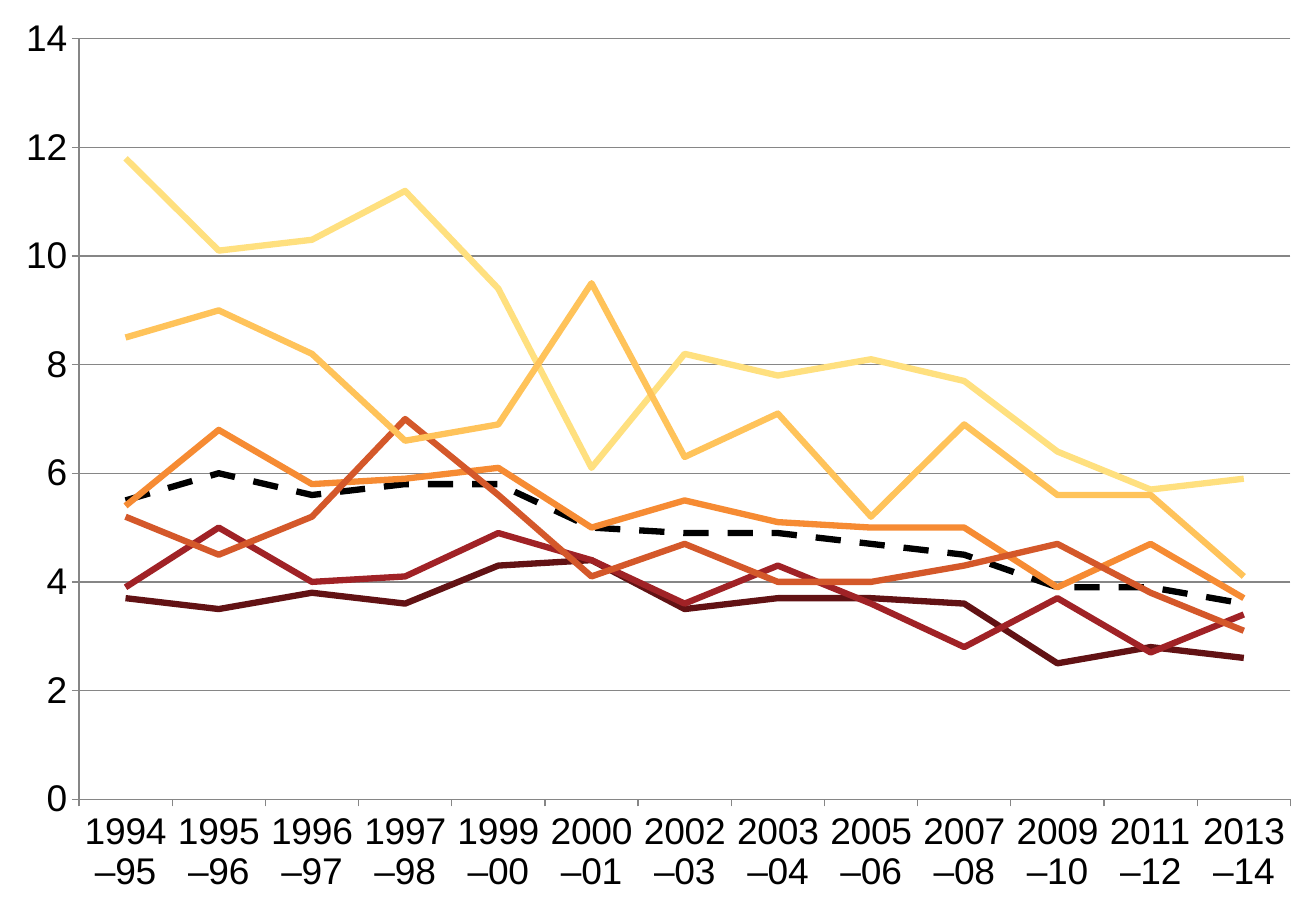
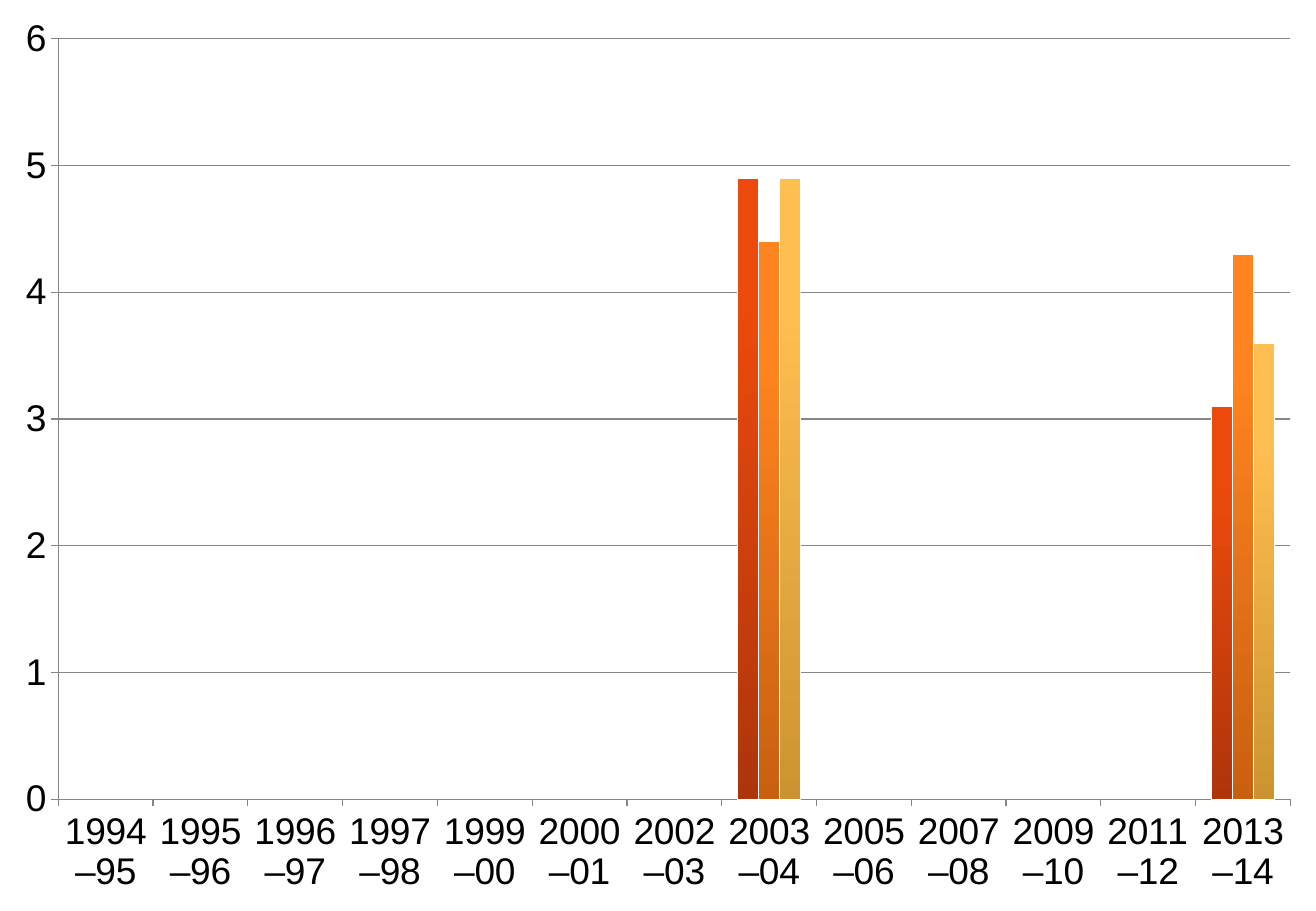
"""Build two chart slides that share years, axes and warm colours."""
from collections.abc import Sequence
from dataclasses import dataclass

from lxml.etree import SubElement
from pptx import Presentation
from pptx.chart.chart import Chart
from pptx.chart.data import CategoryChartData
from pptx.dml.color import RGBColor
from pptx.enum.chart import XL_CHART_TYPE, XL_TICK_MARK
from pptx.enum.dml import MSO_LINE
from pptx.oxml.ns import qn
from pptx.presentation import Presentation as Deck
from pptx.util import Inches, Pt


@dataclass(frozen=True)
class Theme:
    font: str = "Arial"
    text: str = "000000"
    paper: str = "FFFFFF"
    axis: str = "868686"
    amber: str = "FFC35A"
    orange: str = "F68B33"
    rust: str = "D4582A"
    crimson: str = "A02226"
    maroon: str = "621214"
    yellow: str = "FFE07F"
    base_size: float = 18
    label_size: float = 22
    hairline: float = 0.75
    trend_line: float = 3.75


@dataclass(frozen=True)
class Trend:
    values: Sequence[float]
    color: str
    dashed: bool = False


@dataclass(frozen=True)
class Bars:
    values: dict[str, float]
    foot: str
    top: str


@dataclass(frozen=True)
class Scale:
    maximum: float
    step: float
    plot_left: float


THEME = Theme()
WIDTH, HEIGHT = Inches(10.83), Inches(7.5)
PLOT_RIGHT, PLOT_TOP, PLOT_BOTTOM = 10.62, 0.32, 6.58

YEARS = [
    "1994–95", "1995–96", "1996–97", "1997–98", "1999–00", "2000–01", "2002–03",
    "2003–04", "2005–06", "2007–08", "2009–10", "2011–12", "2013–14",
]

TRENDS = [
    Trend([5.5, 6, 5.6, 5.8, 5.8, 5, 4.9, 4.9, 4.7, 4.5, 3.9, 3.9, 3.6], THEME.text, True),
    Trend([5.4, 6.8, 5.8, 5.9, 6.1, 5, 5.5, 5.1, 5, 5, 3.9, 4.7, 3.7], THEME.orange),
    Trend([3.7, 3.5, 3.8, 3.6, 4.3, 4.4, 3.5, 3.7, 3.7, 3.6, 2.5, 2.8, 2.6], THEME.maroon),
    Trend([3.9, 5, 4, 4.1, 4.9, 4.4, 3.6, 4.3, 3.6, 2.8, 3.7, 2.7, 3.4], THEME.crimson),
    Trend([11.8, 10.1, 10.3, 11.2, 9.4, 6.1, 8.2, 7.8, 8.1, 7.7, 6.4, 5.7, 5.9], THEME.yellow),
    Trend([5.2, 4.5, 5.2, 7, 5.6, 4.1, 4.7, 4, 4, 4.3, 4.7, 3.8, 3.1], THEME.rust),
    Trend([8.5, 9, 8.2, 6.6, 6.9, 9.5, 6.3, 7.1, 5.2, 6.9, 5.6, 5.6, 4.1], THEME.amber),
]

BARS = [
    Bars({"2003–04": 4.9, "2013–14": 3.1}, "AE350B", "EC4A0C"),
    Bars({"2003–04": 4.4, "2013–14": 4.3}, "C96010", "FF8420"),
    Bars({"2003–04": 4.9, "2013–14": 3.6}, "CC9430", "FFBF50"),
]


def rgb(color: str) -> RGBColor:
    return RGBColor.from_string(color)


def apply(target: object, values: dict[str, object]) -> None:
    for name, value in values.items():
        setattr(target, name, value)


def place_plot(chart: Chart, left: float) -> None:
    area = chart.element.find(f"{qn('c:chart')}/{qn('c:plotArea')}")
    for layout in area.findall(qn("c:layout")):
        area.remove(layout)
    layout = SubElement(area, qn("c:layout"))
    area.insert(0, layout)
    manual = SubElement(layout, qn("c:manualLayout"))
    page_width, page_height = WIDTH.inches, HEIGHT.inches
    settings = {
        "layoutTarget": "inner",
        "xMode": "edge",
        "yMode": "edge",
        "x": left / page_width,
        "y": PLOT_TOP / page_height,
        "w": (PLOT_RIGHT - left) / page_width,
        "h": (PLOT_BOTTOM - PLOT_TOP) / page_height,
    }
    for name, value in settings.items():
        SubElement(manual, qn(f"c:{name}")).set("val", str(value))


def add_year_chart(
    deck: Deck, kind: XL_CHART_TYPE, rows: Sequence[Sequence[float | None]], scale: Scale
) -> Chart:
    page = deck.slides.add_slide(deck.slide_layouts[6])
    data = CategoryChartData()
    data.categories = YEARS
    for number, row in enumerate(rows, 1):
        data.add_series(f"Series {number}", row)
    chart = page.shapes.add_chart(kind, 0, 0, WIDTH, HEIGHT, data).chart
    apply(chart, {"has_legend": False, "has_title": False})
    apply(chart.font, {"name": THEME.font, "size": Pt(THEME.base_size)})
    chart.font.color.rgb = rgb(THEME.text)
    chart.plots[0].vary_by_categories = False

    values = chart.value_axis
    apply(values, {
        "minimum_scale": 0,
        "maximum_scale": scale.maximum,
        "major_unit": scale.step,
        "has_major_gridlines": True,
    })
    apply(values.tick_labels, {"number_format": "#,##0", "number_format_is_linked": False})
    for axis in (chart.category_axis, values):
        apply(axis, {
            "major_tick_mark": XL_TICK_MARK.OUTSIDE,
            "minor_tick_mark": XL_TICK_MARK.NONE,
        })
        axis.tick_labels.font.size = Pt(THEME.label_size)
    for line in (
        chart.category_axis.format.line,
        values.format.line,
        values.major_gridlines.format.line,
    ):
        line.color.rgb = rgb(THEME.axis)
        line.width = Pt(THEME.hairline)
    place_plot(chart, scale.plot_left)
    return chart


def add_trend_page(deck: Deck) -> None:
    rows = [trend.values for trend in TRENDS]
    chart = add_year_chart(deck, XL_CHART_TYPE.LINE, rows, Scale(14, 2, 0.65))
    for series, trend in zip(chart.plots[0].series, TRENDS):
        series.smooth = False
        line = series.format.line
        line.color.rgb = rgb(trend.color)
        line.width = Pt(THEME.trend_line)
        if trend.dashed:
            line.dash_style = MSO_LINE.DASH


def add_bar_page(deck: Deck) -> None:
    rows = [[bars.values.get(year) for year in YEARS] for bars in BARS]
    chart = add_year_chart(deck, XL_CHART_TYPE.COLUMN_CLUSTERED, rows, Scale(6, 1, 0.48))
    apply(chart.plots[0], {"gap_width": 150, "overlap": 0})
    for series, bars in zip(chart.plots[0].series, BARS):
        fill = series.format.fill
        fill.gradient()
        fill.gradient_angle = 90
        for stop, color, position in zip(fill.gradient_stops, (bars.foot, bars.top), (0, 0.8)):
            stop.color.rgb = rgb(color)
            stop.position = position
        series.format.line.color.rgb = rgb(THEME.paper)
        series.format.line.width = Pt(THEME.hairline)


def main() -> None:
    deck = Presentation()
    apply(deck, {"slide_width": WIDTH, "slide_height": HEIGHT})
    add_trend_page(deck)
    add_bar_page(deck)
    deck.save("out.pptx")


if __name__ == "__main__":
    main()
